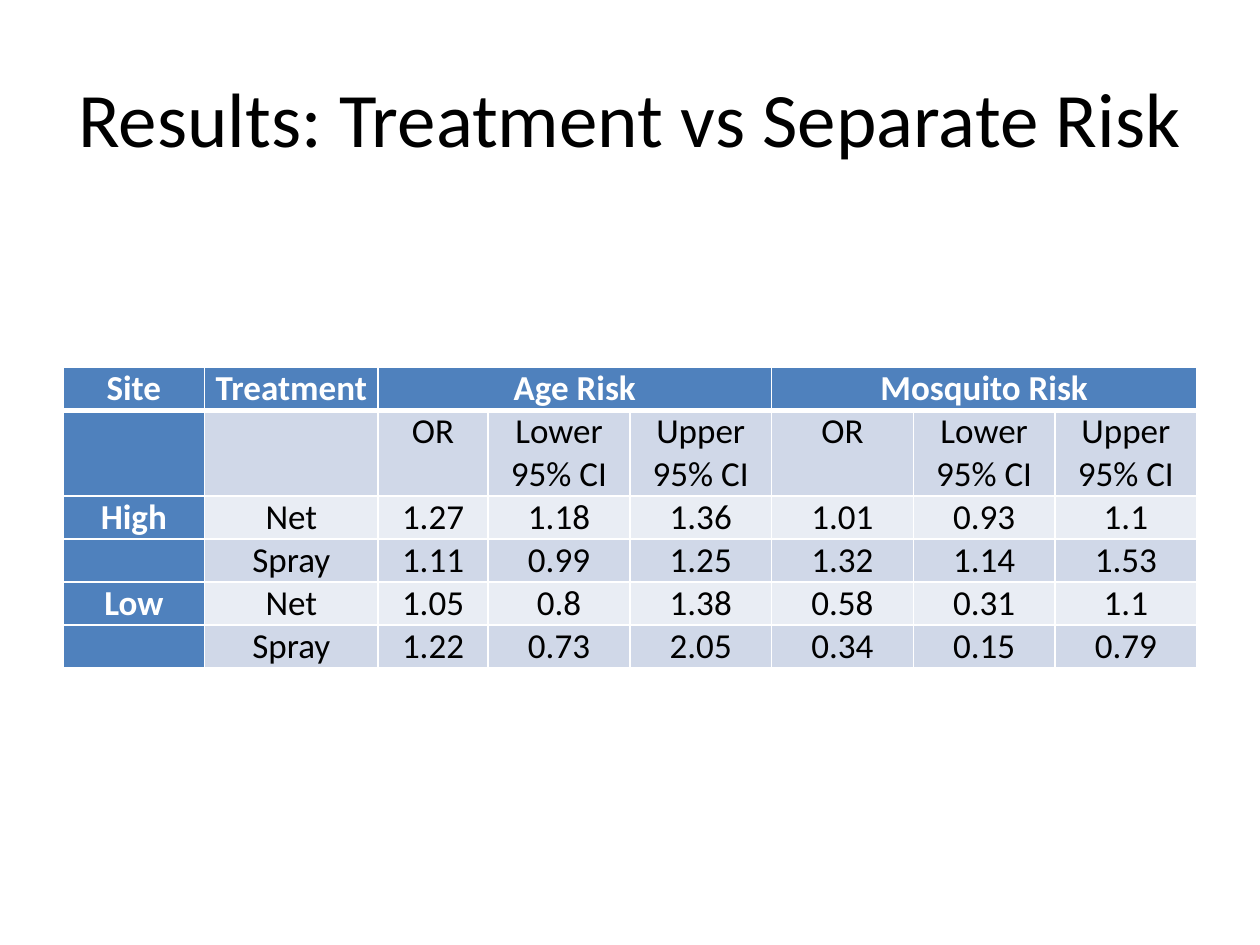
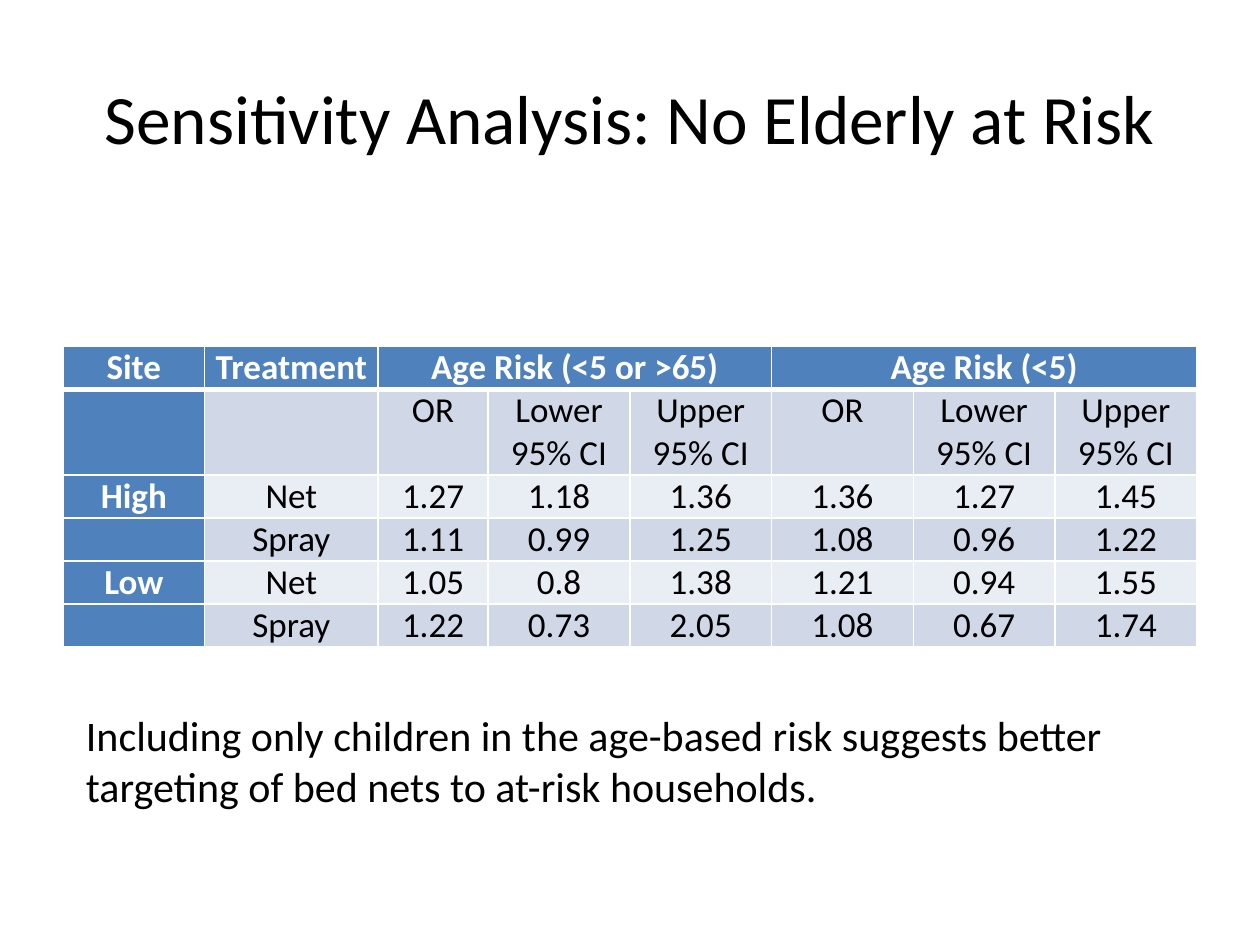
from dataclasses import dataclass

from lxml import etree
from pptx import Presentation
from pptx.dml.color import RGBColor
from pptx.enum.text import MSO_ANCHOR, MSO_AUTO_SIZE, PP_ALIGN
from pptx.oxml.ns import qn
from pptx.util import Emu, Pt

CENTER, LEFT = PP_ALIGN.CENTER, PP_ALIGN.LEFT
TOP, MIDDLE, BOTTOM = MSO_ANCHOR.TOP, MSO_ANCHOR.MIDDLE, MSO_ANCHOR.BOTTOM
NO_FIT = MSO_AUTO_SIZE.NONE

EMU_PER_PX = 7620  # 120 px to the inch
TITLE_ONLY = 5


@dataclass(frozen=True)
class Theme:
    font: str = "Calibri"
    ink: str = "000000"
    white: str = "FFFFFF"
    header: str = "4F81BD"
    band_dark: str = "D0D8E8"
    band_light: str = "E9EDF4"
    title_size: float = 44
    table_size: float = 20
    note_size: float = 24
    cell_spacing: float = 1.8
    grid_line: float = 1
    header_line: float = 3


@dataclass(frozen=True)
class Box:
    left: int
    top: int
    width: int
    height: int


@dataclass(frozen=True)
class RiskPage:
    title: str
    table_top: int
    risks: tuple[str, str]
    estimates: tuple[str, ...]  # one line per site and treatment
    title_size: float = Theme.title_size
    note: str = ""


THEME = Theme()
TITLE_BOX = Box(60, 36, 1080, 150)
NOTE_BOX = Box(70, 670, 1060, 109)
COLUMN_WIDTHS = (135, 165, 105) + (135,) * 5
ROW_HEIGHTS = (40, 80) + (40,) * 4
CELL_MARGIN = 9
MEASURES = ("OR", "Lower 95% CI", "Upper 95% CI")
ROW_LABELS = (("High", "Net"), ("", "Spray"), ("Low", "Net"), ("", "Spray"))

PAGES = (
    RiskPage(
        title="Results: Treatment vs Separate Risk",
        table_top=350,
        risks=("Age Risk", "Mosquito Risk"),
        estimates=(
            "1.27 1.18 1.36 1.01 0.93 1.1",
            "1.11 0.99 1.25 1.32 1.14 1.53",
            "1.05 0.8 1.38 0.58 0.31 1.1",
            "1.22 0.73 2.05 0.34 0.15 0.79",
        ),
    ),
    RiskPage(
        title="Sensitivity Analysis: No Elderly at Risk",
        title_size=39.6,
        table_top=330,
        risks=("Age Risk (<5 or >65)", "Age Risk (<5)"),
        estimates=(
            "1.27 1.18 1.36 1.36 1.27 1.45",
            "1.11 0.99 1.25 1.08 0.96 1.22",
            "1.05 0.8 1.38 1.21 0.94 1.55",
            "1.22 0.73 2.05 1.08 0.67 1.74",
        ),
        note="Including only children in the age-based risk suggests better "
             "targeting of bed nets to at-risk households.",
    ),
)


def px(length: int) -> Emu:
    return Emu(length * EMU_PER_PX)


def place(box: Box) -> tuple[Emu, ...]:
    return px(box.left), px(box.top), px(box.width), px(box.height)


def write(frame, text: str, size: float, color: str = THEME.ink,
          bold: bool = False, align=CENTER):
    """Fill a text frame with one formatted paragraph and return it."""
    para = frame.paragraphs[0]
    if text:
        para.add_run().text = text
    para.alignment = align
    font = para.font
    font.name, font.size, font.bold = THEME.font, Pt(size), bold
    font.color.rgb = RGBColor.from_string(color)
    return para


def add_title(slide, text: str, size: float) -> None:
    title = slide.shapes.title
    title.left, title.top, title.width, title.height = place(TITLE_BOX)
    frame = title.text_frame
    frame.auto_size = NO_FIT
    frame.vertical_anchor = MIDDLE
    write(frame, text, size)


def add_note(slide, text: str) -> None:
    frame = slide.shapes.add_textbox(*place(NOTE_BOX)).text_frame
    frame.word_wrap = True
    write(frame, text, THEME.note_size, align=LEFT)


def set_borders(cell, top: float, bottom: float) -> None:
    """Draw white cell edges; widths are in points."""
    properties = cell._tc.get_or_add_tcPr()
    side = THEME.grid_line
    for tag, width in (("lnL", side), ("lnR", side), ("lnT", top), ("lnB", bottom)):
        line = etree.SubElement(properties, qn(f"a:{tag}"), w=str(Pt(width)))
        fill = etree.SubElement(line, qn("a:solidFill"))
        etree.SubElement(fill, qn("a:srgbClr"), val=THEME.white)


def format_cell(cell, text: str, row: int, column: int) -> None:
    is_header = row == 0
    is_label = is_header or column == 0
    band = THEME.band_dark if row % 2 else THEME.band_light

    set_borders(cell,
                top=THEME.header_line if row == 1 else THEME.grid_line,
                bottom=THEME.header_line if is_header else THEME.grid_line)
    cell.fill.solid()
    cell.fill.fore_color.rgb = RGBColor.from_string(THEME.header if is_label else band)
    cell.margin_left = cell.margin_right = px(CELL_MARGIN)
    cell.margin_top = cell.margin_bottom = 0
    cell.vertical_anchor = BOTTOM if is_header else TOP

    para = write(cell.text_frame, text, THEME.table_size,
                 THEME.white if is_label else THEME.ink, bold=is_label)
    para.space_before = para.space_after = Pt(THEME.cell_spacing)


def table_rows(page: RiskPage) -> list[tuple[str, ...]]:
    first_risk, second_risk = page.risks
    header = ("Site", "Treatment", first_risk, "", "", second_risk, "", "")
    rows = [header, ("", "") + MEASURES * 2]
    for labels, values in zip(ROW_LABELS, page.estimates):
        rows.append(labels + tuple(values.split()))
    return rows


def add_risk_table(slide, page: RiskPage) -> None:
    box = Box(TITLE_BOX.left, page.table_top, sum(COLUMN_WIDTHS), sum(ROW_HEIGHTS))
    table = slide.shapes.add_table(
        len(ROW_HEIGHTS), len(COLUMN_WIDTHS), *place(box)).table
    table.first_col = True
    for column, width in zip(table.columns, COLUMN_WIDTHS):
        column.width = px(width)
    for row, height in zip(table.rows, ROW_HEIGHTS):
        row.height = px(height)

    for row, texts in enumerate(table_rows(page)):
        for column, text in enumerate(texts):
            format_cell(table.cell(row, column), text, row, column)

    # Each risk heading spans its three measures
    span = len(MEASURES)
    for start in (2, 2 + span):
        table.cell(0, start).merge(table.cell(0, start + span - 1))


def main() -> None:
    deck = Presentation()
    deck.slide_width, deck.slide_height = px(1200), px(900)
    for page in PAGES:
        slide = deck.slides.add_slide(deck.slide_layouts[TITLE_ONLY])
        add_title(slide, page.title, page.title_size)
        add_risk_table(slide, page)
        if page.note:
            add_note(slide, page.note)
    deck.save("out.pptx")


if __name__ == "__main__":
    main()
